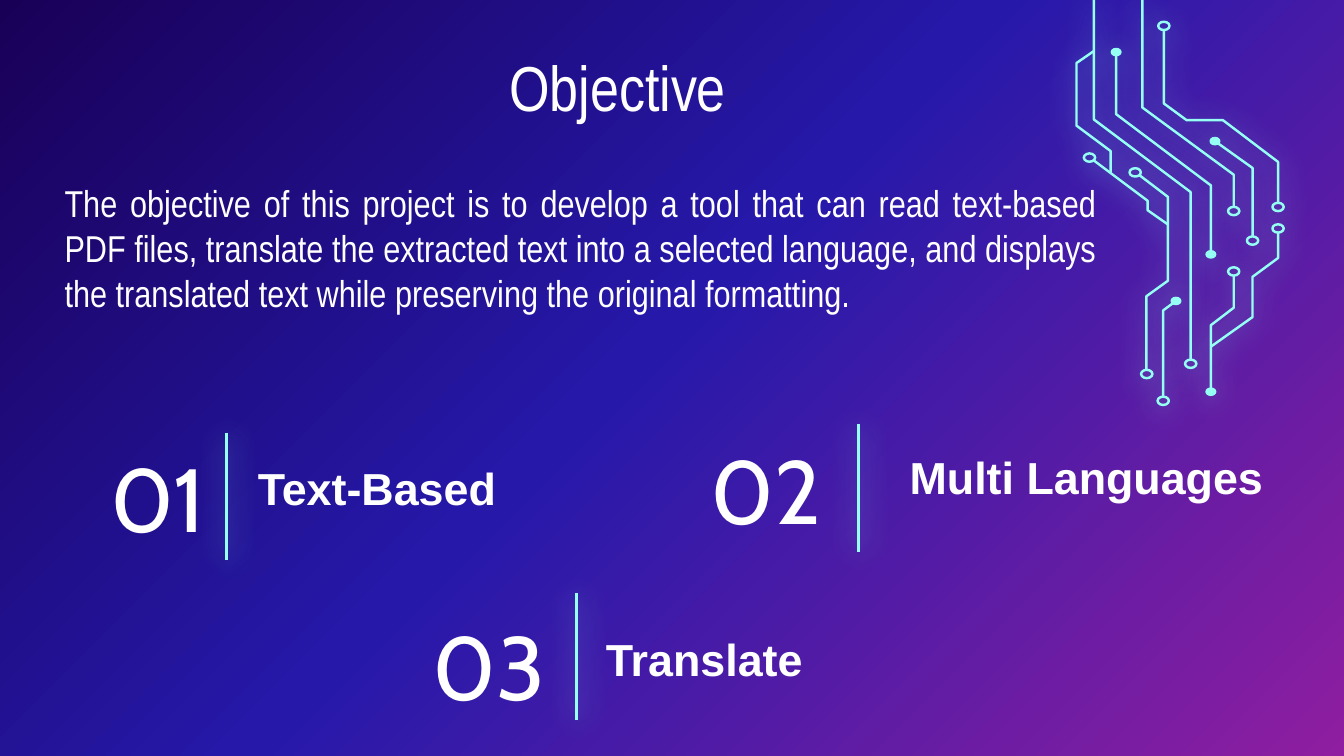
import math

import pptx
import pptx.util
import pptx.dml.color
import pptx.enum.shapes
import pptx.enum.text
import pptx.oxml
import pptx.oxml.ns

RGB = pptx.dml.color.RGBColor
WHITE = RGB(0xFF, 0xFF, 0xFF)
CYAN = RGB(0x96, 0xFF, 0xF3)
NAVY = RGB(0x19, 0x00, 0x57)
BLUE = RGB(0x26, 0x19, 0xAA)
PURPLE = RGB(0x8F, 0x1E, 0xA0)
NS = pptx.oxml.ns.nsdecls("a")
Pt = pptx.util.Pt

deck = pptx.Presentation()
deck.slide_width = pptx.util.Inches(10)
deck.slide_height = deck.slide_width * 9 // 16
slide = deck.slides.add_slide(deck.slide_layouts[6])

# Grid: 1000 columns across the slide, rows of the same size
COLS = 1000
UNIT = deck.slide_width // COLS


def glow(shape, width, angle):
    shape.line.color.rgb = CYAN
    shape.line.width = Pt(width)
    shape._element.spPr.append(pptx.oxml.parse_xml(
        f'<a:effectLst {NS}><a:outerShdw blurRad="{Pt(15.8)}" dist="{Pt(1.5)}"'
        f' dir="{angle * 60000}" algn="bl" rotWithShape="0">'
        f'<a:srgbClr val="{CYAN}"><a:alpha val="68000"/></a:srgbClr>'
        '</a:outerShdw></a:effectLst>'))


def write(text, left, top, wide, high, size, font, bold=False):
    wide = min(wide, COLS - left)
    box = slide.shapes.add_textbox(*(n * UNIT for n in (left, top, wide, high)))
    box.text_frame.word_wrap = True
    para = box.text_frame.paragraphs[0]
    para.text = text
    para.font.size = Pt(size)
    para.font.name = font
    para.font.bold = bold
    para.font.color.rgb = WHITE
    return box.text_frame


# Background: diagonal gradient with three stops
slide.background.fill.gradient()
grad = slide.background._cSld.bg.bgPr.find(pptx.oxml.ns.qn("a:gradFill"))
stops = "".join(
    f'<a:gs pos="{share * 1000}"><a:srgbClr val="{tint}"/></a:gs>'
    for share, tint in ((0, NAVY), (48, BLUE), (100, PURPLE)))
grad.getparent().replace(grad, pptx.oxml.parse_xml(
    f'<a:gradFill {NS} rotWithShape="1"><a:gsLst>{stops}</a:gsLst>'
    '<a:lin ang="2700000" scaled="0"/></a:gradFill>'))

# Title
title = write("Objective", 379, 36, COLS, 63, 34, "Arial Narrow")
title.margin_left = title.margin_right = 0
title.margin_top = title.margin_bottom = 0

# Objective paragraph
body = write(
    "The objective of this project is to develop a tool that can read "
    "text-based PDF files, translate the extracted text into a selected "
    "language, and displays the translated text while preserving the "
    "original formatting.", 21, 124, 805, 382, 20, "Arial Narrow")
body.margin_left = 27 * UNIT
body.margin_right = body.margin_top = body.margin_bottom = 10 * UNIT
body.paragraphs[0].alignment = pptx.enum.text.PP_ALIGN.JUSTIFY

# Features: number, bar and label
BAR = 95
items = (
    # number at, bar at, label at
    ("01", (72, 325), (168.5, 322), (182, 338), "Text-Based"),
    ("02", (519, 319), (639, 315.5), (667, 330.5), "Multi Languages"),
    ("03", (312, 450), (429, 441), (441, 465), "Translate"),
)
for num, spot, (x, y), place, label in items:
    write(num, *spot, 588, 91, 48, "Cabin")
    write(label, *(int(n) for n in place), 500, 50, 24, "Arial", True)
    bar = slide.shapes.add_connector(
        pptx.enum.shapes.MSO_CONNECTOR.STRAIGHT,
        *(int(n * UNIT) for n in (x, y, x, y + BAR)))
    glow(bar, 1.5, 44)

# Circuit pieces: traces, open rings and solid dots
pieces = (
    ([((850, 0), (850, 80), (918, 130), (918, 154))], [(918, 157)], []),
    ([((904, 105), (932, 125), (932, 176))], [(932, 179)], [(904, 105)]),
    ([((866, 22), (866, 77), (883, 89.5), (910, 89.5), (951, 120.5),
       (951, 151))], [(866, 19.3), (951, 154)], []),
    ([((875, 224), (865.5, 231), (865.5, 295))], [(865.5, 298.3)],
     [(875, 224)]),
    ([((918, 205), (918, 229), (901, 242), (901, 292)),
      ((951, 173), (951, 192), (932, 206), (932, 236), (901, 258))],
     [(918, 202), (951, 170)], [(901, 291.5)]),
    ([((830.5, 39), (830.5, 85), (901, 138), (901, 189))], [],
     [(830.5, 38.8), (901, 189.3)]),
    ([((814, 0), (814, 89), (886, 143), (886, 267.5)),
      ((814, 38), (801, 47), (801, 93.5), (826.5, 112.5), (826.5, 128.5)),
      ((814, 119.5), (854, 149.5), (854, 156.5), (869, 167)),
      ((848, 130.5), (869, 146.5), (869, 209), (853, 220.5), (853, 275))],
     [(886, 270.7), (810.7, 117.3), (844.7, 128.3), (853.3, 278.3)], []),
)
STEPS = 12
art = slide.shapes.add_group_shape()
for traces, rings, dots in pieces:
    paths = [(trace, False) for trace in traces]
    # A dot is two nested rings whose strokes meet
    nodes = [(spot, 4.2, 3.1) for spot in rings]
    nodes += [(spot, *size) for spot in dots for size in ((3.2, 2.3), (1.5, 0.8))]
    for (x, y), wide, high in nodes:
        turns = [math.tau * n / STEPS for n in range(STEPS)]
        paths.append(([(x + wide * math.cos(t), y + high * math.sin(t))
                       for t in turns], True))
    pen = None
    for points, closed in paths:
        first, *rest = [(x * UNIT, y * UNIT) for x, y in points]
        if pen:
            pen.move_to(*first)
        else:
            pen = art.shapes.build_freeform(*first)
        pen.add_line_segments(rest, close=closed)
    piece = pen.convert_to_shape()
    piece.fill.background()
    glow(piece, 1.3, 90)

deck.save("out.pptx")
